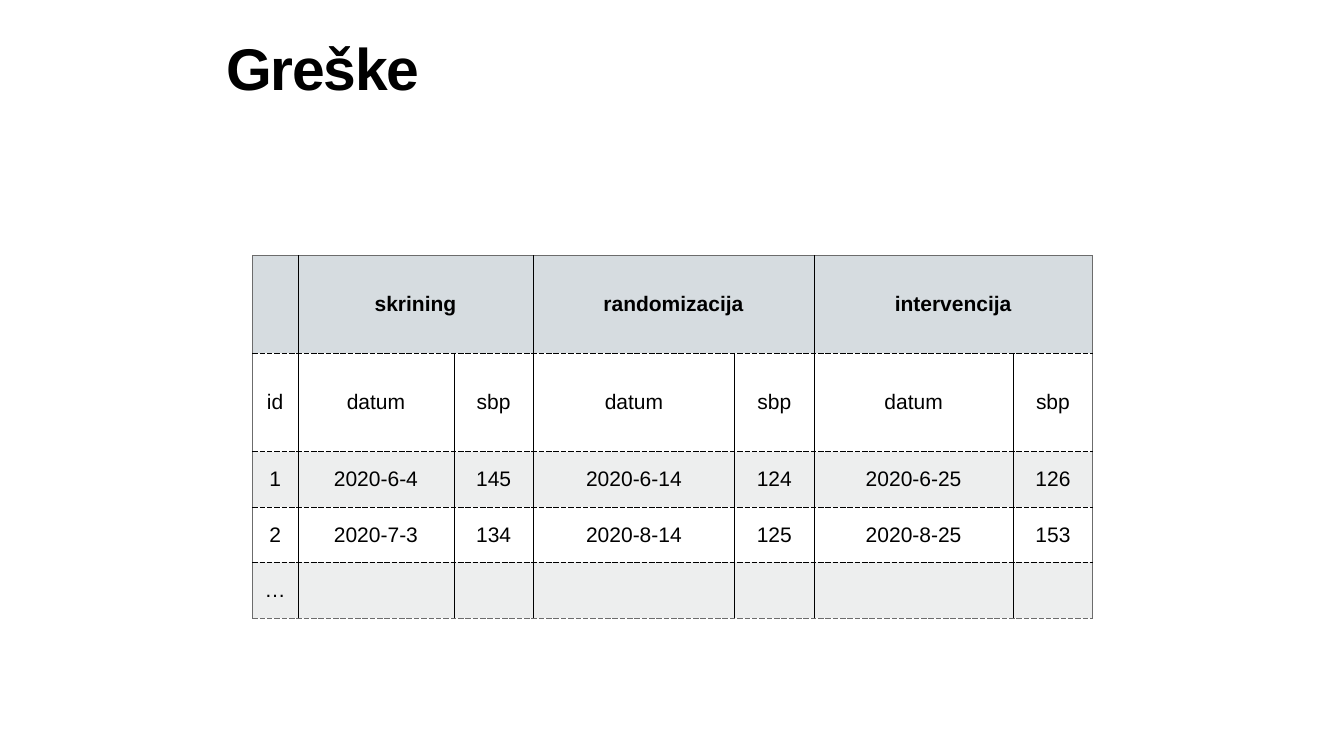
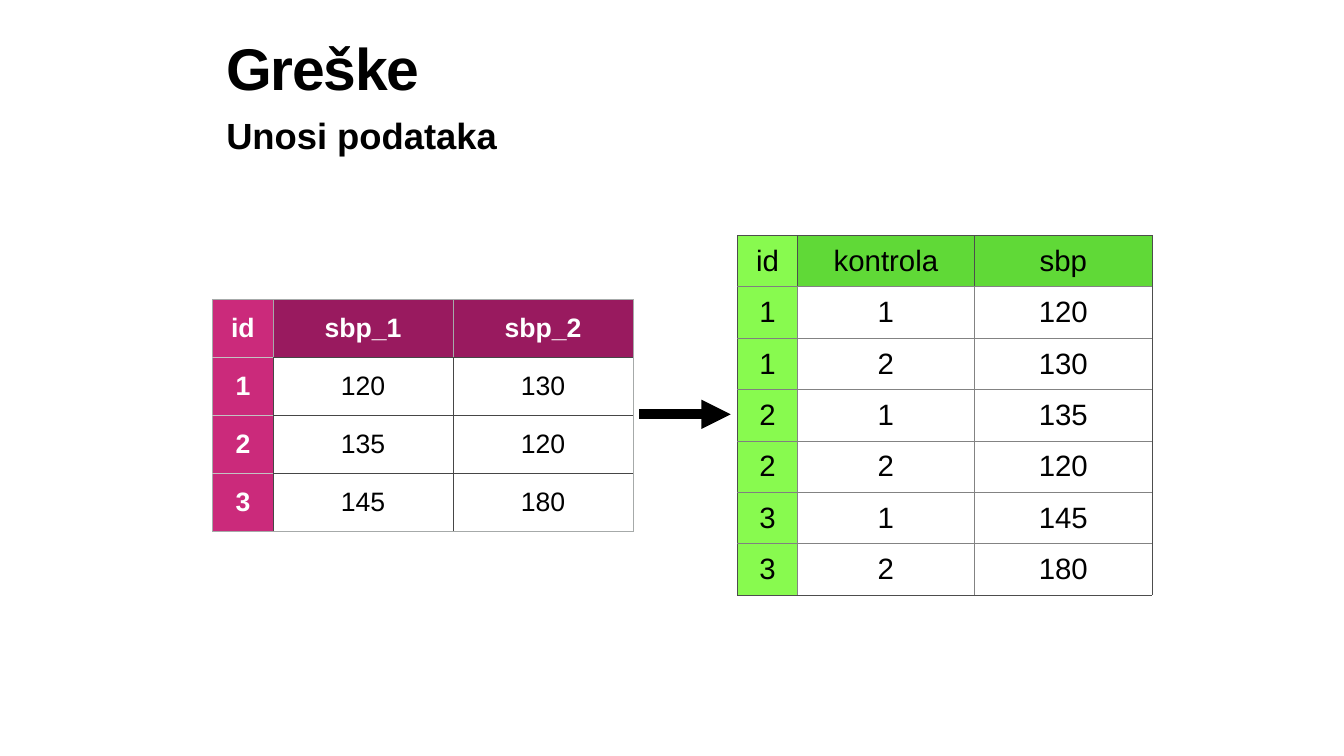
from lxml import etree
from pptx import Presentation
from pptx.dml.color import RGBColor
from pptx.enum.shapes import MSO_CONNECTOR
from pptx.enum.text import MSO_ANCHOR, PP_ALIGN
from pptx.oxml.ns import qn
from pptx.util import Inches, Pt

STRAIGHT = MSO_CONNECTOR.STRAIGHT
MIDDLE = MSO_ANCHOR.MIDDLE
CENTER = PP_ALIGN.CENTER

COLORS = {
    "black": "000000", "white": "FFFFFF",
    "slate": "D6DCE0", "band": "EDEEEE", "slate_rim": "6C6C6C",
    "plum": "991A5F", "pink": "CB2A7B", "pink_rim": "A6AAA9",
    "pink_line": "C3C3C3", "wide_grid": "464646",
    "green": "60D937", "lime": "88FA4F", "green_rim": "4D4D4D",
    "lime_line": "808080", "long_grid": "838383",
}


def rgb(name):
    return RGBColor.from_string(COLORS[name])


class Deck:
    font = "Arial"

    def __init__(self):
        self.prs = Presentation()
        self.prs.slide_width = Inches(26.67)
        self.prs.slide_height = Inches(15)
        self.s = None

    def slide(self, title):
        self.s = self.prs.slides.add_slide(self.prs.slide_layouts[6])
        p = self.text(title, 0.68, 1.56, 84)
        p.line_spacing = 0.8
        p.runs[0]._r.get_or_add_rPr().set("spc", "-170")

    def style(self, p, size, color="black", bold=False):
        p.font.name = self.font
        p.font.size = Pt(size)
        p.font.bold = bold
        p.font.color.rgb = rgb(color)

    def text(self, text, y, h, size):
        sp = self.s.shapes.add_textbox(Inches(4.41), Inches(y), Inches(17.85), Inches(h))
        tf = sp.text_frame
        tf.word_wrap = True
        tf.vertical_anchor = MIDDLE
        tf.margin_left = tf.margin_right = Inches(0.08)
        tf.margin_top = tf.margin_bottom = Inches(0.08)
        p = tf.paragraphs[0]
        p.text = text
        self.style(p, size, bold=True)
        return p

    def border(self, cell, side, color, dashed):
        ln = etree.SubElement(cell._tc.get_or_add_tcPr(), qn("a:ln" + side), w="12700")
        fill = etree.SubElement(ln, qn("a:solidFill"))
        etree.SubElement(fill, qn("a:srgbClr"), val=COLORS[color])
        etree.SubElement(ln, qn("a:prstDash"), val="dash" if dashed else "solid")

    def table(self, x, y, cols, heights, rows, size, look, rim, grids,
              merges=(), dashed=False):
        """look(r, c) gives fill, text colour and bold; grids: head, side, body."""
        frame = self.s.shapes.add_table(len(heights), len(cols), Inches(x), Inches(y),
                                        Inches(sum(cols)), Inches(sum(heights)))
        tbl = frame.table
        tbl.first_row = tbl.horz_banding = False
        for col, w in zip(tbl.columns, cols):
            col.width = Inches(w)
        for row, h in zip(tbl.rows, heights):
            row.height = Inches(h)
        for r, first, last in merges:
            tbl.cell(r, first).merge(tbl.cell(r, last))
        for r, values in enumerate(rows):
            for c, value in enumerate(values):
                cell = tbl.cell(r, c)
                cell.vertical_anchor = MIDDLE
                cell.margin_left = cell.margin_right = Inches(0.06)
                cell.margin_top = cell.margin_bottom = Inches(0.06)
                fill, color, bold = look(r, c)
                p = cell.text_frame.paragraphs[0]
                p.alignment = CENTER
                if value:
                    p.text = value
                self.style(p, size, color, bold)
                # Outer edges take the rim colour, inner ones that of their zone
                grid = grids[0 if r == 0 else 1 if c == 0 else 2]
                right = c + (cell.span_width if cell.is_merge_origin else 1)
                outer = {"L": c == 0, "R": right == len(cols),
                         "T": r == 0, "B": r == len(heights) - 1}
                for side, at_rim in outer.items():
                    self.border(cell, side, rim if at_rim else grid,
                                dashed and (side == "B" or side == "T" and r > 0))
                if fill:
                    cell.fill.solid()
                    cell.fill.fore_color.rgb = rgb(fill)
                else:
                    cell.fill.background()

    def arrow(self, x1, x2, y, width):
        cn = self.s.shapes.add_connector(STRAIGHT, Inches(x1), Inches(y), Inches(x2), Inches(y))
        cn.line.color.rgb = rgb("black")
        cn.line.width = Pt(width)
        etree.SubElement(cn.line._get_or_add_ln(), qn("a:tailEnd"), type="triangle")
        etree.SubElement(cn._element.spPr, qn("a:effectLst"))


def visit_look(r, c):
    return "slate" if r == 0 else "band" if r % 2 == 0 else None, "black", r == 0


def wide_look(r, c):
    if c == 0:
        return "pink", "white", True
    return ("plum", "white", True) if r == 0 else (None, "black", False)


def long_look(r, c):
    return "lime" if c == 0 else "green" if r == 0 else None, "black", False


def main():
    deck = Deck()

    # Visits side by side
    deck.slide("Greške")
    visits = [
        ["", "skrining", "", "randomizacija", "", "intervencija", ""],
        ["id"] + ["datum", "sbp"] * 3,
        ["1", "2020-6-4", "145", "2020-6-14", "124", "2020-6-25", "126"],
        ["2", "2020-7-3", "134", "2020-8-14", "125", "2020-8-25", "153"],
        ["…"] + [""] * 6,
    ]
    deck.table(5.01, 5.07, [0.9, 3.1, 1.57, 4, 1.57, 3.96, 1.57],
               [1.94, 1.95] + [1.1] * 3, visits, 30, visit_look, "slate_rim",
               ["black"] * 3, [(0, c, c + 1) for c in (1, 3, 5)], dashed=True)

    # Wide table turned into a long one
    deck.slide("Greške")
    deck.text("Unosi podataka", 2.17, 1.03, 52)
    readings = {"1": ["120", "130"], "2": ["135", "120"], "3": ["145", "180"]}
    wide = [["id", "sbp_1", "sbp_2"]] + [[i] + sbp for i, sbp in readings.items()]
    long = [["id", "kontrola", "sbp"]] + [
        [i, str(n), value] for i, sbp in readings.items() for n, value in enumerate(sbp, 1)]
    deck.table(4.22, 5.94, [1.2, 3.57, 3.57], [1.15] * 4, wide, 38, wide_look,
               "pink_rim", ["pink_rim", "pink_line", "wide_grid"])
    deck.table(14.64, 4.67, [1.18, 3.52, 3.52], [1.02] * 7, long, 42, long_look,
               "green_rim", ["green_rim", "lime_line", "long_grid"])
    deck.arrow(12.69, 14.5, 8.22, 14)

    deck.prs.save("out.pptx")


if __name__ == "__main__":
    main()
